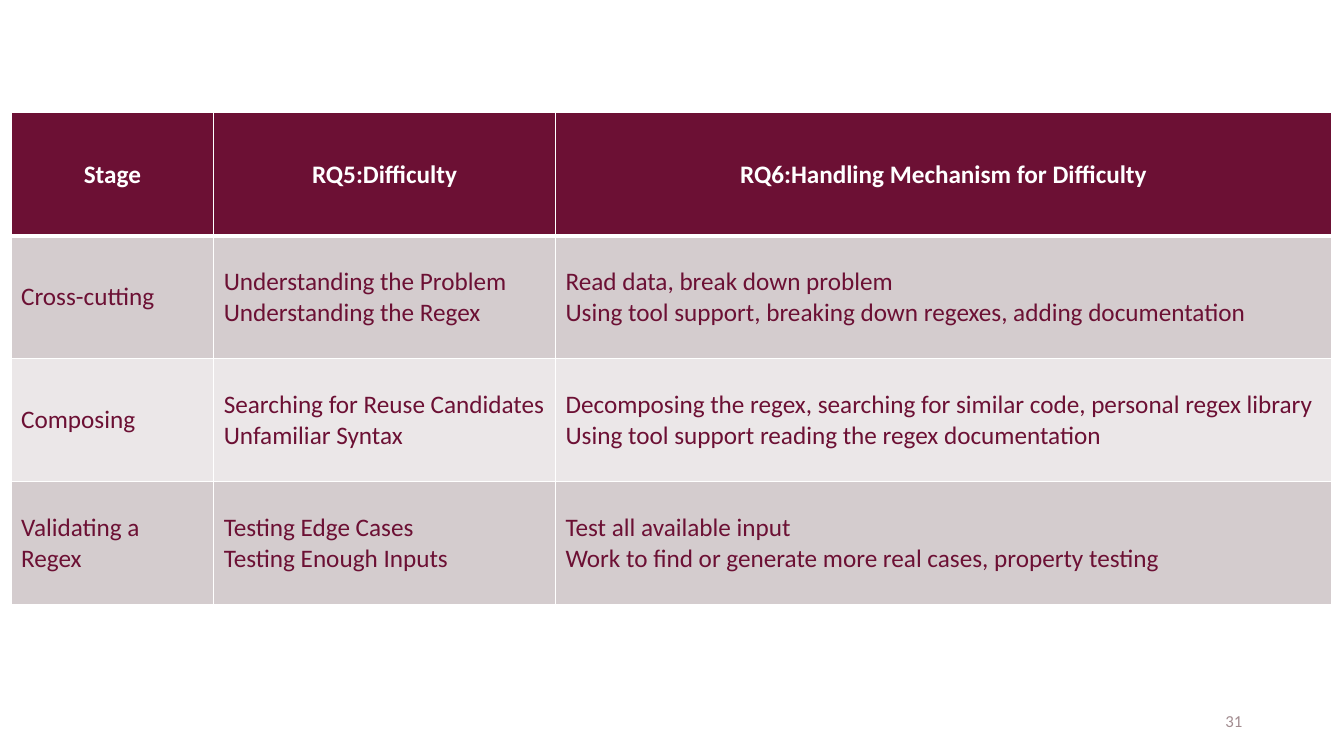
from dataclasses import dataclass

from lxml import etree
from pptx import Presentation
from pptx.dml.color import RGBColor
from pptx.enum.text import MSO_ANCHOR, PP_ALIGN
from pptx.oxml.ns import qn
from pptx.util import Inches, Pt

MIDDLE = MSO_ANCHOR.MIDDLE
LEFT, CENTER, RIGHT = PP_ALIGN.LEFT, PP_ALIGN.CENTER, PP_ALIGN.RIGHT


@dataclass(frozen=True)
class Theme:
    font: str = "Calibri"
    maroon: str = "6C1034"
    white: str = "FFFFFF"
    bands: tuple = ("D4CCCE", "EBE7E8")
    muted: str = "A28C90"
    table_size: int = 18
    number_size: int = 12
    rule: int = 1
    header_rule: int = 3


THEME = Theme()
COLUMN_WIDTHS = (2.01, 3.39, 7.7)
ROWS = (
    ("Stage", "RQ5:Difficulty", "RQ6:Handling Mechanism for Difficulty"),
    ("Cross-cutting",
     "Understanding the Problem\nUnderstanding the Regex",
     "Read data, break down problem\n"
     "Using tool support, breaking down regexes, adding documentation"),
    ("Composing",
     "Searching for Reuse Candidates\nUnfamiliar Syntax",
     "Decomposing the regex, searching for similar code, personal regex library\n"
     "Using tool support reading the regex documentation"),
    ("Validating a Regex",
     "Testing Edge Cases\nTesting Enough Inputs",
     "Test all available input\n"
     "Work to find or generate more real cases, property testing"),
)


def format_text(tf, size, color, align, bold=False):
    for p in tf.paragraphs:
        p.alignment = align
        for r in p.runs:
            r.font.name = THEME.font
            r.font.size = Pt(size)
            r.font.bold = bold
            r.font.color.rgb = RGBColor.from_string(color)


def set_borders(cell, top, bottom):
    """Draw white cell borders; the widths are in points."""
    tc_pr = cell._tc.get_or_add_tcPr()
    widths = {"a:lnL": THEME.rule, "a:lnR": THEME.rule, "a:lnT": top, "a:lnB": bottom}
    for position, (tag, width) in enumerate(widths.items()):
        ln = etree.Element(qn(tag), w=str(Pt(width)))
        fill = etree.SubElement(ln, qn("a:solidFill"))
        etree.SubElement(fill, qn("a:srgbClr"), val=THEME.white)
        tc_pr.insert(position, ln)


def add_findings_table(slide, left, top, row_height):
    table = slide.shapes.add_table(
        len(ROWS), len(COLUMN_WIDTHS), Inches(left), Inches(top),
        Inches(sum(COLUMN_WIDTHS)), Inches(row_height * len(ROWS))).table
    for column, width in zip(table.columns, COLUMN_WIDTHS):
        column.width = Inches(width)
    for i, texts in enumerate(ROWS):
        header = i == 0
        table.rows[i].height = Inches(row_height)
        fill = THEME.maroon if header else THEME.bands[(i - 1) % 2]
        for j, text in enumerate(texts):
            cell = table.cell(i, j)
            cell.text_frame.text = text
            cell.vertical_anchor = MIDDLE
            cell.fill.solid()
            cell.fill.fore_color.rgb = RGBColor.from_string(fill)
            set_borders(cell,
                        THEME.header_rule if i == 1 else THEME.rule,
                        THEME.header_rule if header else THEME.rule)
            format_text(cell.text_frame, THEME.table_size,
                        THEME.white if header else THEME.maroon,
                        CENTER if header else LEFT, bold=header)


def add_page_number(slide, left, top, width, height, number):
    box = slide.shapes.add_textbox(
        Inches(left), Inches(top), Inches(width), Inches(height))
    tf = box.text_frame
    tf.word_wrap = True
    tf.vertical_anchor = MIDDLE
    tf.text = str(number)
    format_text(tf, THEME.number_size, THEME.muted, RIGHT)


def main():
    prs = Presentation()
    prs.slide_width, prs.slide_height = Inches(13.33), Inches(7.5)
    blank_layout = prs.slide_layouts[6]
    slide = prs.slides.add_slide(blank_layout)
    add_page_number(slide, 9.42, 6.95, 3, 0.4, 31)
    add_findings_table(slide, 0.11, 1.12, 1.22)
    prs.save("out.pptx")


if __name__ == "__main__":
    main()
